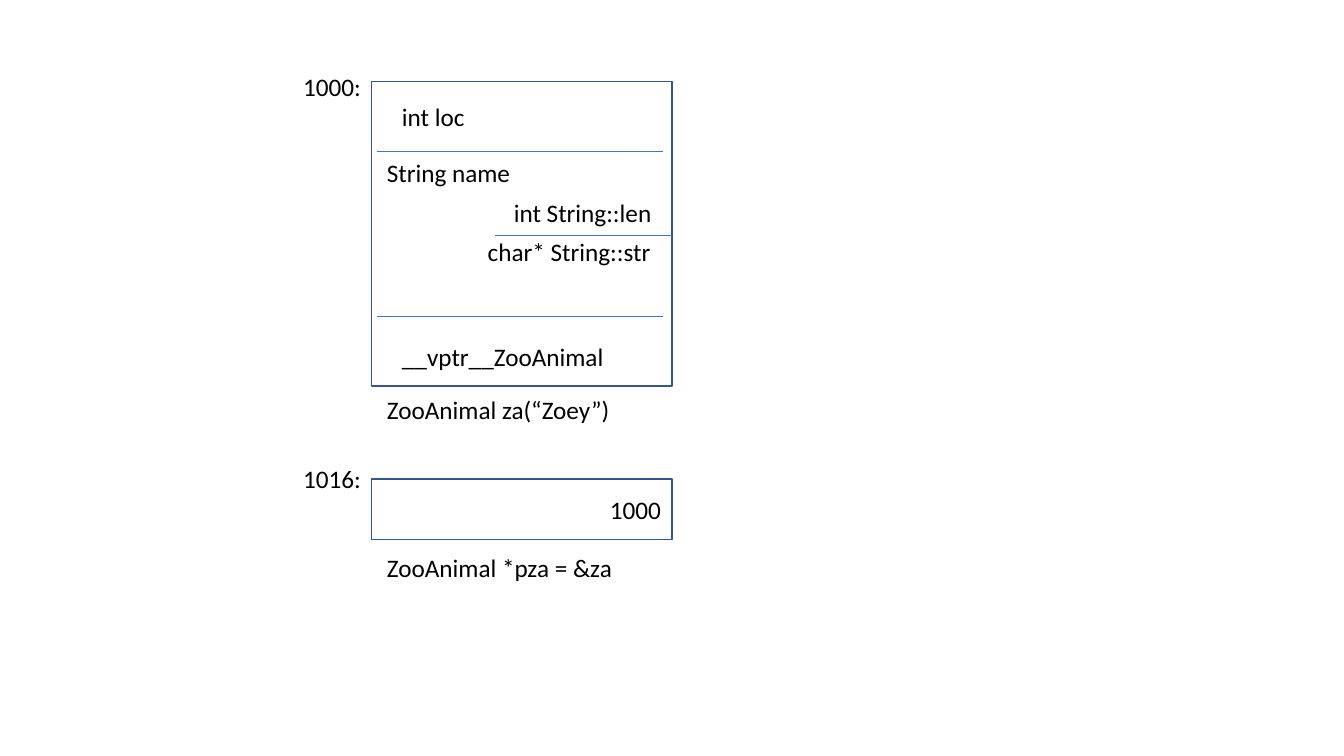
from lxml.etree import SubElement
from pptx import Presentation
from pptx.dml.color import RGBColor
from pptx.enum.shapes import MSO_CONNECTOR, MSO_SHAPE
from pptx.enum.text import MSO_AUTO_SIZE
from pptx.oxml.ns import qn
from pptx.util import Cm, Pt

BORDER = RGBColor(0x32, 0x54, 0x91)
DIVIDER = RGBColor(0x44, 0x72, 0xC4)
BLACK = RGBColor(0, 0, 0)

BOX_LEFT, BOX_WIDTH = 9.37, 7.57
BOX_RIGHT = BOX_LEFT + BOX_WIDTH
LABEL_LEFT, FIELD_LEFT = 9.5, 9.88
MEMBER_RIGHT = 16.71
LABEL_HEIGHT = 1.02

memory_boxes = [(2.06, 7.67), (12.07, 1.52)]
dividers = [
    (LABEL_LEFT, MEMBER_RIGHT, 3.81),
    (LABEL_LEFT, MEMBER_RIGHT, 7.98),
    (12.47, BOX_RIGHT, 5.92),
]
left_labels = [
    ("int loc", FIELD_LEFT, 2.44, 2.11),
    ("String name", LABEL_LEFT, 3.84, 3.66),
    ("__vptr__ZooAnimal", FIELD_LEFT, 8.48, 5.64),
    ("ZooAnimal za(“Zoey”)", LABEL_LEFT, 9.8, 6.17),
    ("ZooAnimal *pza = &za", LABEL_LEFT, 13.79, 6.25),
]
right_labels = [
    ("int String::len", MEMBER_RIGHT, 4.85, 4.01),
    ("char* String::str", MEMBER_RIGHT, 5.84, 4.67),
    ("1000:", BOX_LEFT, 1.68, 1.98),
    ("1000", BOX_RIGHT, 12.34, 1.82),
    ("1016:", BOX_LEFT, 11.56, 1.98),
]


def add_box(slide, top, height):
    shape = slide.shapes.add_shape(
        MSO_SHAPE.RECTANGLE, Cm(BOX_LEFT), Cm(top), Cm(BOX_WIDTH), Cm(height))
    shape.shadow.inherit = False
    shape.fill.background()
    shape.line.color.rgb = BORDER
    shape.line.width = Pt(1)


def add_divider(slide, start, end, top):
    connector = slide.shapes.add_connector(
        MSO_CONNECTOR.STRAIGHT, Cm(start), Cm(top), Cm(end), Cm(top))
    connector.line.color.rgb = DIVIDER
    connector.line.width = Pt(0.5)
    SubElement(connector._element.spPr, qn("a:effectLst"))


def add_label(slide, text, left, top, width):
    textbox = slide.shapes.add_textbox(Cm(left), Cm(top), Cm(width), Cm(LABEL_HEIGHT))
    frame = textbox.text_frame
    frame.word_wrap = False
    frame.auto_size = MSO_AUTO_SIZE.SHAPE_TO_FIT_TEXT
    run = frame.paragraphs[0].add_run()
    run.text = text
    run.font.name = "Calibri"
    run.font.size = Pt(18)
    run.font.color.rgb = BLACK


presentation = Presentation()
presentation.slide_width = Cm(33.87)
presentation.slide_height = Cm(19.05)
slide = presentation.slides.add_slide(presentation.slide_layouts[6])

for box in memory_boxes:
    add_box(slide, *box)
for divider in dividers:
    add_divider(slide, *divider)
for label in left_labels:
    add_label(slide, *label)
for text, right, top, width in right_labels:
    add_label(slide, text, right - width, top, width)

presentation.save("out.pptx")
